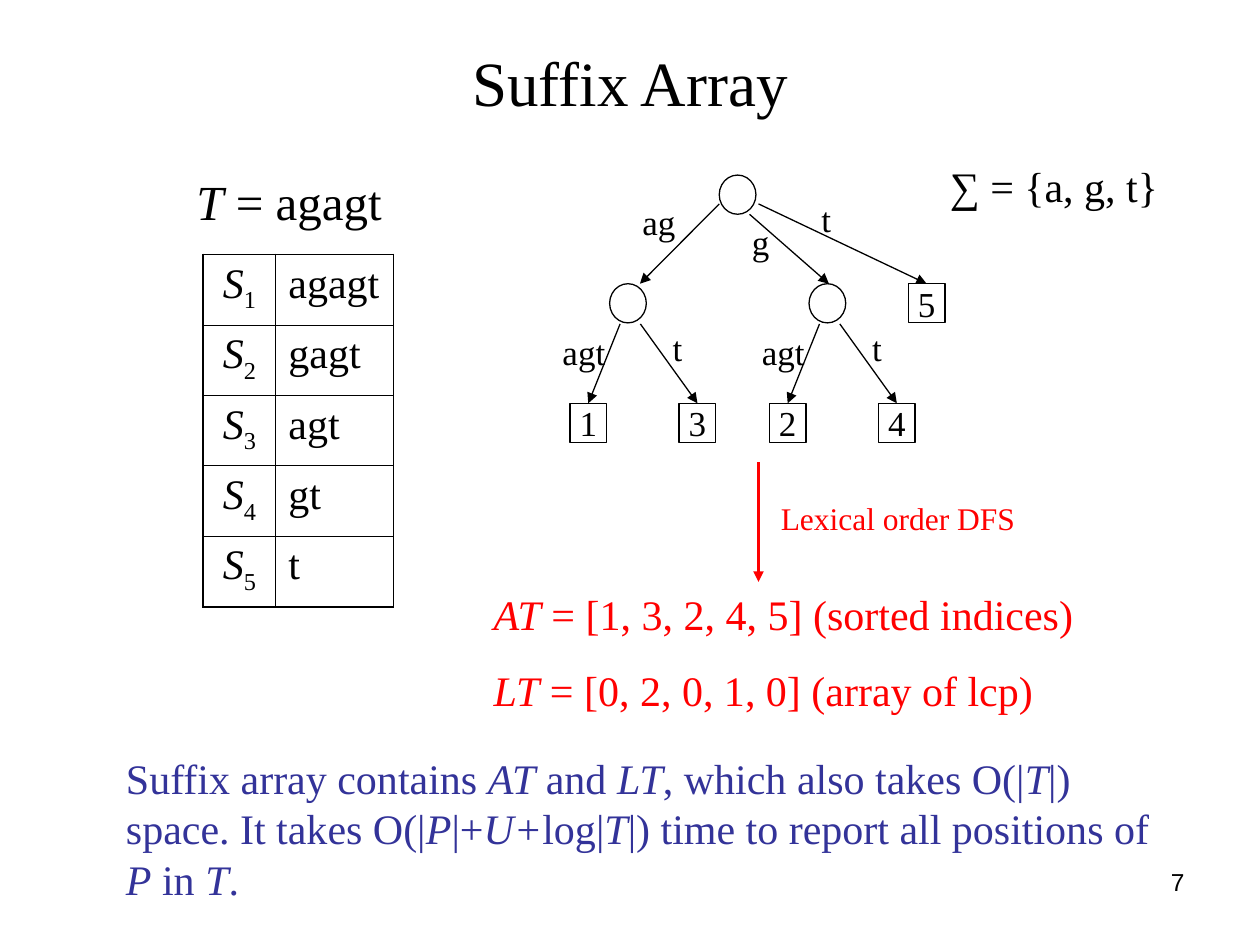
from lxml import etree
from pptx import Presentation
from pptx import util as u
from pptx.dml import color as c
from pptx.enum import shapes, text
from pptx.oxml import ns

BLACK, RED, BLUE = "000000", "FF0000", "333399"
NODE_WIDTH, NODE_HEIGHT = 0.74, 0.79


def rgb(value):
    return c.RGBColor.from_string(value)


def write(frame, lines, size, color=BLACK, align=text.PP_ALIGN.LEFT,
          font="Times New Roman", wrap=True):
    """Fill a text frame; parts between asterisks are italic."""
    frame.word_wrap = wrap
    for i, line in enumerate(lines):
        paragraph = frame.paragraphs[0] if i == 0 else frame.add_paragraph()
        paragraph.alignment = align
        if i:
            paragraph.space_before = u.Pt(15)
        paragraph.font.size = u.Pt(size)
        paragraph.font.name = font
        paragraph.font.color.rgb = rgb(color)
        for j, part in enumerate(line.split("*")):
            if part:
                run = paragraph.add_run()
                run.text = part
                if j % 2:
                    run.font.italic = True


presentation = Presentation()
presentation.slide_width, presentation.slide_height = u.Cm(25.4), u.Cm(19.05)
slide = presentation.slides.add_slide(presentation.slide_layouts[6])

# Title and slide number
title = slide.shapes.add_textbox(u.Cm(1.27), u.Cm(0.76), u.Cm(22.86), u.Cm(1.75))
title.text_frame.vertical_anchor = text.MSO_ANCHOR.MIDDLE
write(title.text_frame, ["Suffix Array"], 36, align=text.PP_ALIGN.CENTER)
number = slide.shapes.add_textbox(u.Cm(18.21), u.Cm(17.35), u.Cm(5.92), u.Cm(1.32))
write(number.text_frame, ["7"], 14, align=text.PP_ALIGN.RIGHT, font="Arial")

# Table of suffixes
word = "agagt"
rows = len(word)
table = slide.shapes.add_table(rows, 2, u.Cm(4.09), u.Cm(5.13),
                               u.Cm(3.84), u.Cm(1.42 * rows)).table
table.first_row = table.horz_banding = False
table.columns[0].width, table.columns[1].width = u.Cm(1.47), u.Cm(2.37)
for i in range(rows):
    table.rows[i].height = u.Cm(1.42)
    index, suffix = table.cell(i, 0), table.cell(i, 1)
    write(index.text_frame, ["*S*"], 24, align=text.PP_ALIGN.CENTER)
    subscript = index.text_frame.paragraphs[0].add_run()
    subscript.text = str(i + 1)
    subscript.font._element.set("baseline", "-25000")
    write(suffix.text_frame, [word[i:]], 24)
    for j, cell in enumerate((index, suffix)):
        outer = {"L": j == 0, "R": j == 1, "T": i == 0, "B": i == rows - 1}
        properties = cell._tc.get_or_add_tcPr()
        for side, is_outer in outer.items():
            border = etree.SubElement(properties, ns.qn(f"a:ln{side}"),
                                      w=str(u.Pt(1.08 if is_outer else 0.45)))
            fill = etree.SubElement(border, ns.qn("a:solidFill"))
            etree.SubElement(fill, ns.qn("a:srgbClr"), val=BLACK)
        cell.fill.background()

# Suffix tree: root level, then two equal subtrees
circles = [(14.5, 3.53)]
leaves = [("5", 18.31, 5.72)]
labels = [("ag", 12.7, 3.91, 1.17), ("g", 14.91, 4.32, 0.84), ("t", 16.31, 3.86, 0.69)]
# Arrows: start, then end point or leaf name, colour, width
arrows = [(14.5, 4.11, (12.9, 5.72), BLACK, 0.75),
          (15.11, 4.32, (16.71, 5.72), BLACK, 0.75),
          (15.29, 4.11, "5", BLACK, 0.75),
          (15.29, 9.32, (15.29, 11.73), RED, 2)]
for left, first, second in ((12.29, "1", "3"), (16.31, "2", "4")):
    circles.append((left, 5.72))
    leaves += [(first, left - 0.8, 8.13), (second, left + 1.4, 8.13)]
    labels += [("agt", left - 1.2, 6.53, 1.37), ("t", left + 1.02, 6.45, 0.69)]
    arrows += [(left + 0.21, 6.53, first, BLACK, 0.75),
               (left + 0.62, 6.53, second, BLACK, 0.75)]

nodes = {}
for name, left, top in [("", *circle) for circle in circles] + leaves:
    kind = shapes.MSO_SHAPE.RECTANGLE if name else shapes.MSO_SHAPE.OVAL
    node = slide.shapes.add_shape(kind, u.Cm(left), u.Cm(top),
                                  u.Cm(NODE_WIDTH), u.Cm(NODE_HEIGHT))
    node.shadow.inherit = False
    node.fill.background()
    node.line.color.rgb = rgb(BLACK)
    node.line.width = u.Pt(0.75)
    if name:
        node.text_frame.vertical_anchor = text.MSO_ANCHOR.MIDDLE
        write(node.text_frame, [name], 20, align=text.PP_ALIGN.CENTER, wrap=False)
        nodes[name] = node

for left, top, target, color, width in arrows:
    end = (left, top) if target in nodes else target
    arrow = slide.shapes.add_connector(shapes.MSO_CONNECTOR.STRAIGHT, u.Cm(left),
                                       u.Cm(top), u.Cm(end[0]), u.Cm(end[1]))
    if target in nodes:
        arrow.end_connect(nodes[target], 0)
    arrow.line.color.rgb = rgb(color)
    arrow.line.width = u.Pt(width)
    etree.SubElement(arrow.line._get_or_add_ln(), ns.qn("a:tailEnd"), type="triangle")
    etree.SubElement(arrow._element.spPr, ns.qn("a:effectLst"))

for label, left, top, width in labels:
    box = slide.shapes.add_textbox(u.Cm(left), u.Cm(top), u.Cm(width), u.Cm(1.12))
    write(box.text_frame, [label], 20, wrap=False)

# Formulas, results and conclusion
for left, top, width, height, size, color, lines in (
    (3.71, 3.33, 4.39, 1.45, 28, BLACK, ["*T* = agagt"]),
    (18.9, 3.12, 5.59, 1.27, 24, BLACK, ["*∑ *= {a, g, t}"]),
    (15.49, 9.93, 5.41, 1.02, 18, RED, ["Lexical order DFS"]),
    (9.7, 11.73, 12.4, 2.82, 24, RED, ["*AT* = [1, 3, 2, 4, 5] (sorted indices)",
                                       "*LT* = [0, 2, 0, 1, 0] (array of lcp)"]),
    (2.29, 15.04, 21.62, 3.3, 24, BLUE,
     ["Suffix array contains *AT* and *LT*, which also takes O(|*T*|) space. "
      "It takes O(|*P*|+*U+*log|*T*|) time to report all positions of *P* in *T*."]),
):
    box = slide.shapes.add_textbox(u.Cm(left), u.Cm(top), u.Cm(width), u.Cm(height))
    write(box.text_frame, lines, size, color)

presentation.save("out.pptx")
